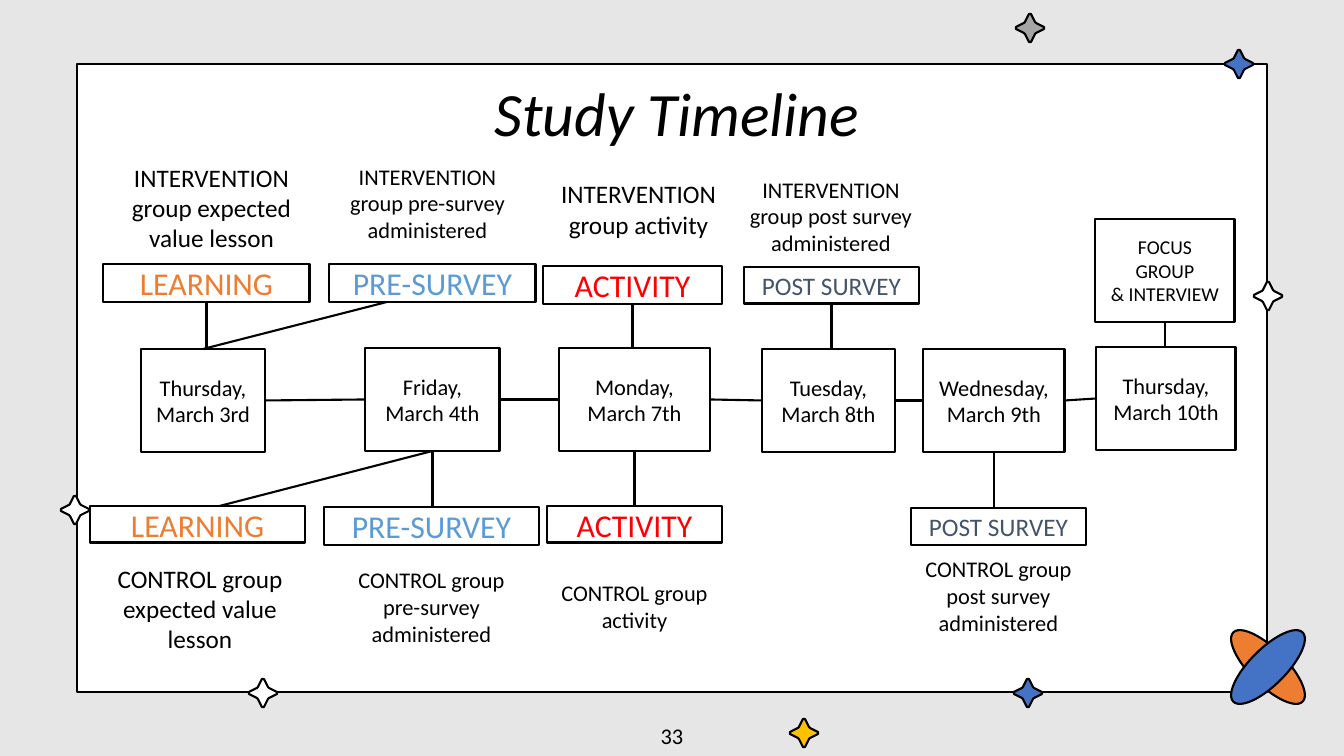
from lxml import etree
from pptx import Presentation
from pptx.dml.color import RGBColor
from pptx.enum.shapes import MSO_CONNECTOR, MSO_SHAPE
from pptx.enum.text import MSO_ANCHOR, PP_ALIGN
from pptx.oxml.ns import qn
from pptx.util import Pt

RECTANGLE, OVAL = MSO_SHAPE.RECTANGLE, MSO_SHAPE.OVAL
STRAIGHT = MSO_CONNECTOR.STRAIGHT
MIDDLE, CENTER = MSO_ANCHOR.MIDDLE, PP_ALIGN.CENTER
TOP, LEFT, BOTTOM, RIGHT = range(4)
PX = 914400 / 100.8
FONT = "Calibri"
INSET = 13

COLORS = {
    "backdrop": "E7E6E6", "white": "FFFFFF", "black": "000000",
    "orange": "ED7D31", "blue": "4472C4", "yellow": "FFC000", "gray": "A5A5A5",
    "sky": "5B9BD5", "red": "FF0000", "slate": "44546A",
}

# Content: boxes are (left, top, width, height) in px
TITLE = "Study Timeline"
PAGE_NUMBER = "33"
PANEL = (77, 64, 1190, 628)
STARS = [  # centre x, centre y, color
    (1028, 693, "blue"), (1239, 64, "blue"), (804, 733, "yellow"),
    (1268, 296, "white"), (263, 693, "white"), (1030, 28, "gray"),
    (75, 510, "white"),
]
STAR_QUARTER = [(-1, -14), (1, -14), (5, -6), (6, -5)]
PETALS = [("orange", 45), ("blue", -45)]
PETAL_BOX = (1219, 649, 98, 36)

DAYS = {
    "thu3": ("Thursday, March 3rd", (141, 349, 124, 103)),
    "fri4": ("Friday, March 4th", (365, 348, 135, 103)),
    "mon7": ("Monday, March 7th", (559, 348, 151, 103)),
    "tue8": ("Tuesday, March 8th", (762, 349, 133, 103)),
    "wed9": ("Wednesday, March 9th", (923, 349, 142, 103)),
    "thu10": ("Thursday, March 10th", (1096, 347, 140, 103)),
}
STAGES = {  # text, box, size, color
    "learning_top": ("LEARNING", (103, 264, 207, 38), 22.7, "orange"),
    "pre_top": ("PRE-SURVEY", (329, 264, 207, 38), 22.7, "sky"),
    "activity_top": ("ACTIVITY", (543, 266, 179, 38), 22.7, "red"),
    "post_top": ("POST SURVEY", (744, 267, 175, 37), 18, "slate"),
    "focus": ("FOCUS\nGROUP\n& INTERVIEW", (1095, 219, 140, 103), 14, "black"),
    "learning_low": ("LEARNING", (90, 506, 215, 37), 22.7, "orange"),
    "pre_low": ("PRE-SURVEY", (324, 507, 215, 38), 22.7, "sky"),
    "activity_low": ("ACTIVITY", (547, 506, 175, 37), 22.7, "red"),
    "post_low": ("POST SURVEY", (911, 508, 175, 37), 18, "slate"),
}
CAPTIONS = [  # text, box, size
    ("INTERVENTION group expected value lesson", (108, 157, 207, 101), 18),
    ("INTERVENTION group pre-survey administered", (324, 142, 207, 122), 16),
    ("INTERVENTION group activity", (547, 157, 183, 104), 18),
    ("INTERVENTION group post survey administered", (731, 164, 200, 104), 16),
    ("CONTROL group expected value lesson", (90, 558, 220, 101), 18),
    ("CONTROL group pre-survey administered", (325, 544, 213, 125), 16),
    ("CONTROL group activity", (547, 544, 175, 125), 16),
    ("CONTROL group post survey administered", (911, 546, 175, 99), 16),
]
DROPS = [  # upper box, lower box
    ("learning_top", "thu3"), ("activity_top", "mon7"), ("post_top", "tue8"),
    ("focus", "thu10"), ("fri4", "pre_low"), ("mon7", "activity_low"),
    ("wed9", "post_low"),
]
SLANTS = [  # day, side, far end tucked behind a stage box
    ("thu3", TOP, (430, 291)), ("fri4", BOTTOM, (208, 509)),
]


def emu(*lengths):
    return [round(length * PX) for length in lengths]


def rgb(name):
    return RGBColor.from_string(COLORS[name])


def paint(shape, fill, weight):
    shape.shadow.inherit = False
    shape.fill.solid()
    shape.fill.fore_color.rgb = rgb(fill)
    shape.line.color.rgb = rgb("black")
    shape.line.width = Pt(weight)


def write(shape, text, size, color="black", inset=INSET, italic=False):
    frame = shape.text_frame
    frame.text = text
    frame.word_wrap = True
    frame.vertical_anchor = MIDDLE
    margin = emu(inset)[0]
    frame.margin_left = frame.margin_right = margin
    frame.margin_top = frame.margin_bottom = margin
    for paragraph in frame.paragraphs:
        paragraph.alignment = CENTER
        for run in paragraph.runs:
            run.font.name, run.font.size = FONT, Pt(size)
            run.font.italic = italic
            run.font.color.rgb = rgb(color)


def add_box(shapes, text, box, size, color="black"):
    shape = shapes.add_shape(RECTANGLE, *emu(*box))
    paint(shape, "white", 2)
    write(shape, text, size, color)
    return shape


def add_caption(shapes, text, box, size, inset=INSET):
    write(shapes.add_textbox(*emu(*box)), text, size, inset=inset)


def add_line(shapes, start=(0, 0), end=(0, 0)):
    line = shapes.add_connector(STRAIGHT, *emu(*start, *end))
    line.line.color.rgb = rgb("black")
    line.line.width = Pt(1.5)
    etree.SubElement(line._element.spPr, qn("a:effectLst"))
    return line


def add_star(shapes, center_x, center_y, color):
    outline, quarter = [], STAR_QUARTER
    for _ in range(4):
        outline += [(center_x + x, center_y + y) for x, y in quarter]
        quarter = [(-y, x) for x, y in quarter]
    builder = shapes.build_freeform(*outline[0], scale=PX)
    builder.add_line_segments(outline[1:], close=True)
    paint(builder.convert_to_shape(), color, 1.5)


def main():
    deck = Presentation()
    deck.slide_width, deck.slide_height = emu(1344, 756)
    slide = deck.slides.add_slide(deck.slide_layouts[5])
    shapes = slide.shapes
    slide.background.fill.solid()
    slide.background.fill.fore_color.rgb = rgb("backdrop")

    # Panel and ornaments
    paint(shapes.add_shape(RECTANGLE, *emu(*PANEL)), "white", 1.5)
    for color, angle in PETALS:
        petal = shapes.add_shape(OVAL, *emu(*PETAL_BOX))
        petal.rotation = angle
        paint(petal, color, 1.5)
    for star in STARS:
        add_star(shapes, *star)

    # Title, brought in front of the panel, and page number
    title = shapes.title
    title.left, title.top, title.width, title.height = emu(111, 80, 1132, 63)
    write(title, TITLE, 44, italic=True)
    shapes._spTree.append(title._element)
    add_caption(shapes, PAGE_NUMBER, (521, 716, 302, 40), 16, inset=5)

    # Days, joined in a row
    boxes = {key: add_box(shapes, text, box, 16) for key, (text, box) in DAYS.items()}
    days = list(boxes.values())
    for earlier, later in zip(days, days[1:]):
        link = add_line(shapes)
        link.begin_connect(earlier, RIGHT)
        link.end_connect(later, LEFT)

    # Slanted lines lie behind the stage boxes
    for day, side, far_end in SLANTS:
        add_line(shapes, end=far_end).begin_connect(boxes[day], side)

    # Stages and captions
    for key, stage in STAGES.items():
        boxes[key] = add_box(shapes, *stage)
    for caption in CAPTIONS:
        add_caption(shapes, *caption)

    # Each drop falls straight from the upper box to the lower one
    places = {key: entry[1] for key, entry in (DAYS | STAGES).items()}
    for upper, lower in DROPS:
        left, _, width, _ = places[upper]
        drop = add_line(shapes, end=(left + width / 2, places[lower][1]))
        drop.begin_connect(boxes[upper], BOTTOM)

    deck.save("out.pptx")


if __name__ == "__main__":
    main()
